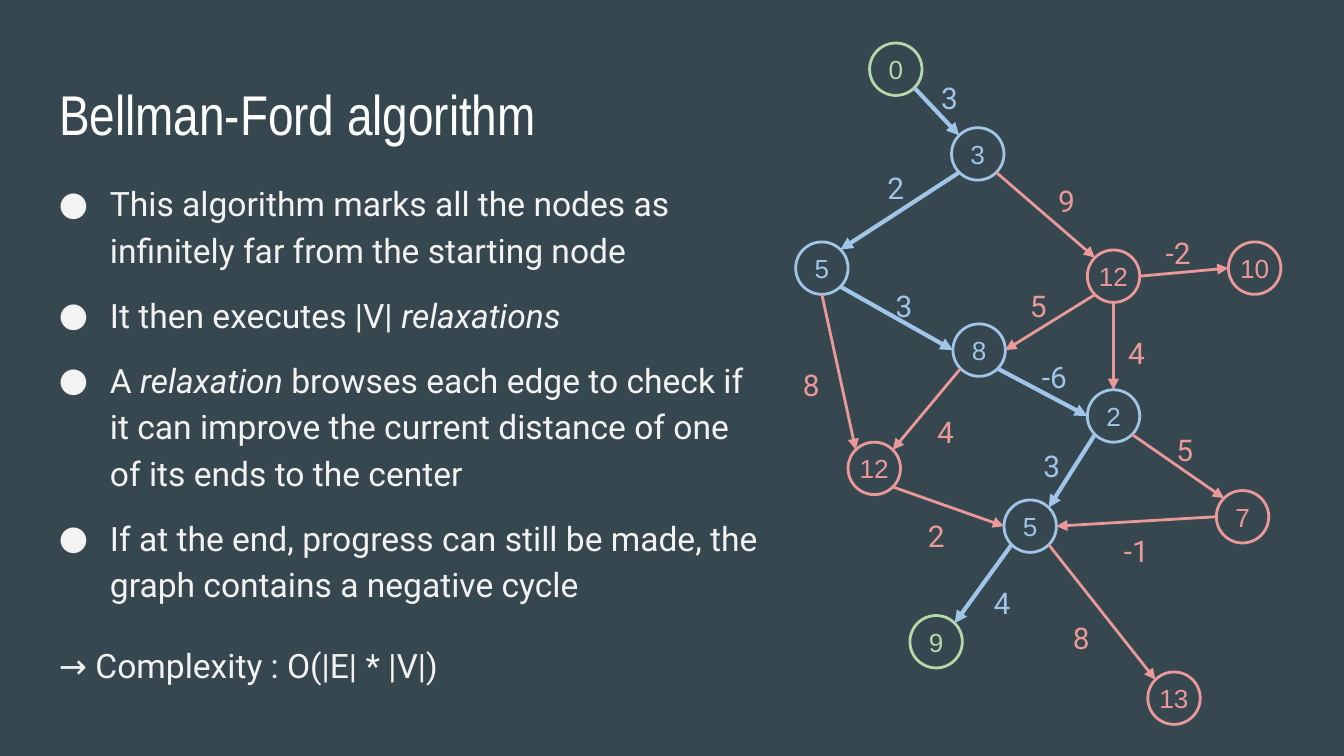
from math import cos, radians, sin

from lxml import etree
from pptx import Presentation
from pptx.dml.color import RGBColor
from pptx.enum.shapes import MSO_CONNECTOR, MSO_SHAPE
from pptx.enum.text import MSO_ANCHOR, MSO_AUTO_SIZE, PP_ALIGN
from pptx.oxml.ns import qn
from pptx.util import Inches, Pt

BACKGROUND, WHITE, TEXT = "37474F", "FFFFFF", "F3F3F3"
BLUE, RED, GREEN = "9FC5E8", "EA9999", "B6D7A8"
DIAMETER = 0.39
TOP, TOP_LEFT, LEFT, BOTTOM_LEFT, BOTTOM, BOTTOM_RIGHT, RIGHT, TOP_RIGHT = range(8)

TITLE = "Bellman-Ford algorithm"
BULLETS = [
    [("This algorithm marks all the nodes as infinitely far from the starting node", False)],
    [("It then executes |V| ", False), ("relaxations", True)],
    [("A ", False), ("relaxation", True),
     (" browses each edge to check if it can improve the current distance "
      "of one of its ends to the center", False)],
    [("If at the end, progress can still be made, the graph contains a negative cycle", False)],
]
COMPLEXITY = "→ Complexity : O(|E| * |V|)"

NODES = {
    "A": ("0", 6.47, 0.32, GREEN),
    "B": ("3", 7.08, 0.95, BLUE),
    "C": ("5", 5.92, 1.8, BLUE),
    "D": ("12", 8.09, 1.86, RED),
    "E": ("10", 9.14, 1.8, RED),
    "F": ("8", 7.09, 2.41, BLUE),
    "G": ("12", 6.31, 3.29, RED),
    "H": ("2", 8.09, 2.9, BLUE),
    "I": ("7", 9.05, 3.65, RED),
    "J": ("5", 7.47, 3.72, BLUE),
    "K": ("9", 6.77, 4.58, GREEN),
    "L": ("13", 8.54, 5, RED),
}
EDGES = [
    ("A", BOTTOM_RIGHT, "B", TOP_LEFT, BLUE, "3", 6.82, 0.45),
    ("B", BOTTOM_LEFT, "C", TOP_RIGHT, BLUE, "2", 6.42, 1.12),
    ("B", BOTTOM_RIGHT, "D", TOP_LEFT, RED, "9", 7.69, 1.22),
    ("D", RIGHT, "E", LEFT, RED, "-2", 8.52, 1.61),
    ("D", BOTTOM_LEFT, "F", RIGHT, RED, "5", 7.48, 2),
    ("D", BOTTOM, "H", TOP, RED, "4", 8.21, 2.35),
    ("C", BOTTOM, "G", TOP_LEFT, RED, "8", 5.79, 2.59),
    ("C", BOTTOM_RIGHT, "F", LEFT, BLUE, "3", 6.48, 2),
    ("F", BOTTOM_LEFT, "G", TOP_RIGHT, RED, "4", 6.79, 2.94),
    ("F", BOTTOM_RIGHT, "H", LEFT, BLUE, "-6", 7.6, 2.53),
    ("H", BOTTOM_LEFT, "J", TOP_RIGHT, BLUE, "3", 7.58, 3.19),
    ("H", BOTTOM_RIGHT, "I", TOP_LEFT, RED, "5", 8.57, 3.07),
    ("I", LEFT, "J", RIGHT, RED, "-1", 8.21, 3.82),
    ("G", BOTTOM_RIGHT, "J", LEFT, RED, "2", 6.72, 3.71),
    ("J", BOTTOM_LEFT, "K", TOP_RIGHT, BLUE, "4", 7.21, 4.21),
    ("J", BOTTOM_RIGHT, "L", TOP_LEFT, RED, "8", 7.8, 4.47),
]


def rgb(value):
    return RGBColor.from_string(value)


def add_run(paragraph, text, font, size, color, italic=False):
    run = paragraph.add_run()
    run.text = text
    run.font.name, run.font.size, run.font.italic = font, Pt(size), italic
    run.font.color.rgb = rgb(color)


def set_frame(frame, side=0.1, anchor=MSO_ANCHOR.TOP):
    frame.word_wrap = True
    frame.auto_size = MSO_AUTO_SIZE.NONE
    frame.vertical_anchor = anchor
    frame.margin_left = frame.margin_right = Inches(side)
    frame.margin_top = frame.margin_bottom = Inches(0.1)
    return frame


def add_text_box(left, top, width, height):
    box = slide.shapes.add_textbox(Inches(left), Inches(top), Inches(width), Inches(height))
    frame = set_frame(box.text_frame)
    frame.paragraphs[0].line_spacing = 1.15
    return frame


def add_bullet(paragraph, color):
    props = paragraph._p.get_or_add_pPr()
    props.set("marL", str(Inches(0.5)))
    props.set("indent", str(Inches(-0.38)))
    bullet_color = etree.SubElement(props, qn("a:buClr"))
    etree.SubElement(bullet_color, qn("a:srgbClr"), val=color)
    etree.SubElement(props, qn("a:buFont"), typeface="Roboto")
    etree.SubElement(props, qn("a:buChar"), char="●")


def add_node(label, left, top, color):
    node = slide.shapes.add_shape(MSO_SHAPE.OVAL, Inches(left), Inches(top),
                                  Inches(DIAMETER), Inches(DIAMETER))
    node.shadow.inherit = False
    node.fill.background()
    node.line.color.rgb = rgb(color)
    node.line.width = Pt(1.5)
    paragraph = set_frame(node.text_frame, 0, MSO_ANCHOR.MIDDLE).paragraphs[0]
    paragraph.alignment = PP_ALIGN.CENTER
    add_run(paragraph, label, "Arial", 14, color)
    return node


def site_point(node, site):
    angle, radius = radians(90 + 45 * site), node.width / 2
    return (int(node.left + radius + radius * cos(angle)),
            int(node.top + radius - radius * sin(angle)))


def add_edge(start, start_site, end, end_site, color):
    edge = slide.shapes.add_connector(MSO_CONNECTOR.STRAIGHT, *site_point(start, start_site),
                                      *site_point(end, end_site))
    edge.line.color.rgb = rgb(color)
    edge.line.width = Pt(2.25 if color == BLUE else 1.5)
    properties = edge._element.spPr
    etree.SubElement(properties.find(qn("a:ln")), qn("a:tailEnd"), type="triangle")
    etree.SubElement(properties, qn("a:effectLst"))
    links = edge._element.find(".//" + qn("p:cNvCxnSpPr"))
    for tag, node, site in (("a:stCxn", start, start_site), ("a:endCxn", end, end_site)):
        etree.SubElement(links, qn(tag), id=str(node.shape_id), idx=str(site))


prs = Presentation()
prs.slide_width = Inches(10)
prs.slide_height = prs.slide_width * 9 // 16
slide = prs.slides.add_slide(prs.slide_layouts[5])
slide.background.fill.solid()
slide.background.fill.fore_color.rgb = rgb(BACKGROUND)

title = slide.shapes.title
title.left, title.top, title.width, title.height = map(Inches, (0.34, 0.49, 5.61, 0.63))
heading = set_frame(title.text_frame).paragraphs[0]
heading.alignment = PP_ALIGN.LEFT
add_run(heading, TITLE, "Arial Narrow", 30, WHITE)

body = add_text_box(0.22, 1.22, 5.57, 3.43)
for index, runs in enumerate(BULLETS):
    paragraph = body.add_paragraph() if index else body.paragraphs[0]
    paragraph.line_spacing = 1.15
    paragraph.space_before = Pt(10 if index else 0)
    add_bullet(paragraph, TEXT)
    for text, italic in runs:
        add_run(paragraph, text, "Roboto", 18, TEXT, italic)

nodes = {key: add_node(*spec) for key, spec in NODES.items()}
for start, start_site, end, end_site, color, weight, left, top in EDGES:
    add_edge(nodes[start], start_site, nodes[end], end_site, color)
    label = add_text_box(left, top, 0.49, 0.45).paragraphs[0]
    label.alignment = PP_ALIGN.CENTER
    add_run(label, weight, "Roboto", 16, color)

complexity = add_text_box(0.34, 4.65, 3.98, 0.45).paragraphs[0]
complexity.space_after = Pt(16)
add_run(complexity, COMPLEXITY, "Roboto", 18, TEXT)

prs.save("out.pptx")
